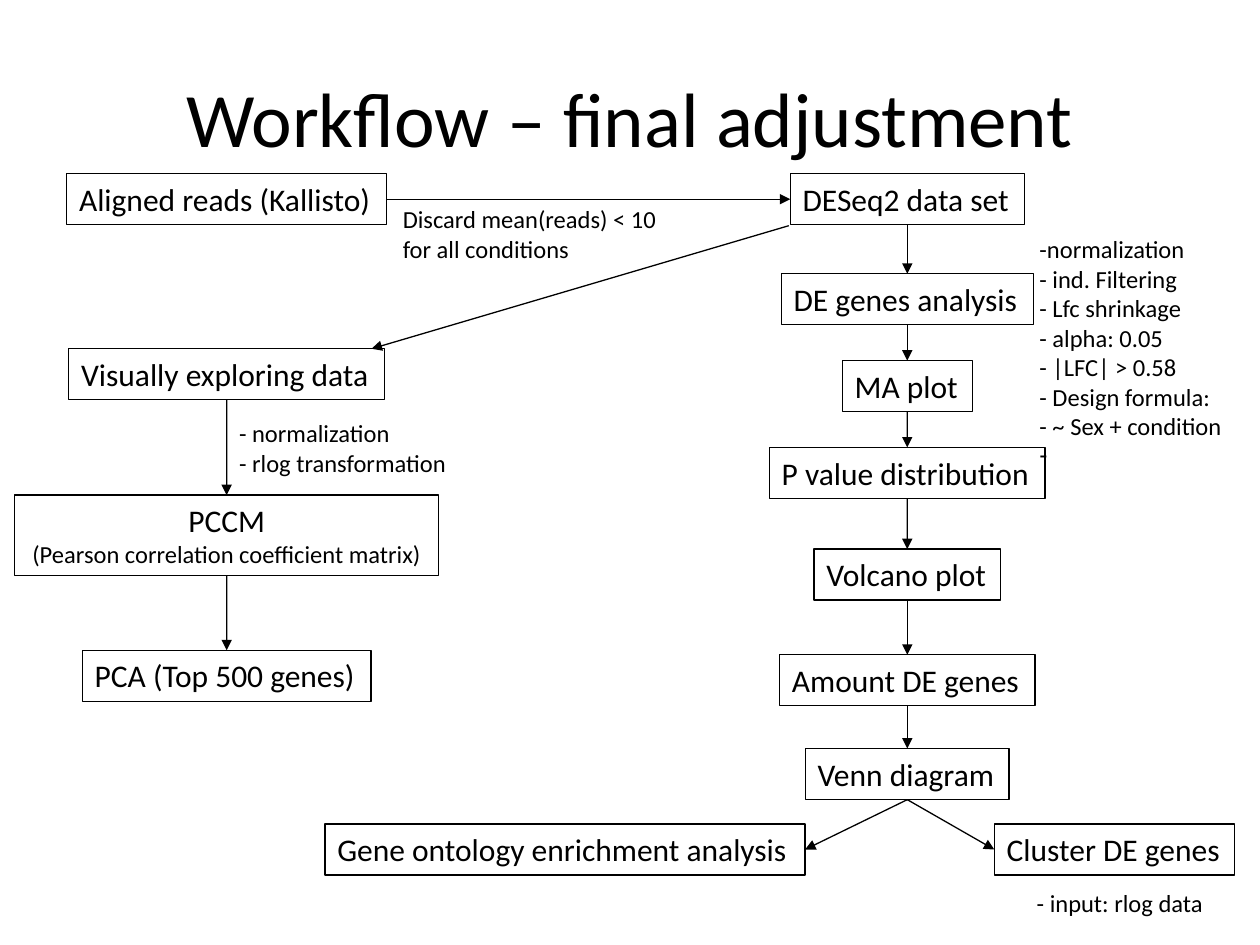
import dataclasses
import pptx
import pptx.dml.color
import pptx.enum.dml
import pptx.enum.shapes
import pptx.enum.text
import pptx.oxml.ns
import pptx.util
from lxml import etree

Cm = pptx.util.Cm
Pt = pptx.util.Pt
Align = pptx.enum.text.PP_ALIGN
Anchor = pptx.enum.text.MSO_ANCHOR
Fit = pptx.enum.text.MSO_AUTO_SIZE


@dataclasses.dataclass(frozen=True)
class Theme:
    ink: pptx.dml.color.RGBColor = pptx.dml.color.RGBColor(0, 0, 0)
    paper: pptx.dml.color.RGBColor = pptx.dml.color.RGBColor(255, 255, 255)
    font: str = "Calibri"
    title: int = 44
    label: int = 18
    note: int = 14
    line: float = 0.75


THEME = Theme()
LEFT = 4.57
RIGHT = 18.29
HIGH = 1.03
TOP, WEST, BOTTOM, EAST = range(4)


def apply(item, style):
    for name, value in style.items():
        setattr(item, name, value)


def tag(parent, name, **values):
    return etree.SubElement(parent, pptx.oxml.ns.qn(name), values)


def place(item, left, top, width, height):
    apply(item, {"left": Cm(left), "top": Cm(top),
                 "width": Cm(width), "height": Cm(height)})


def write(frame, lines, sizes, align=Align.LEFT):
    frame.text = "\n".join(lines)
    for para, size in zip(frame.paragraphs, sizes):
        apply(para, {"alignment": align, "space_before": Pt(0)})
        apply(para.runs[0].font, {"name": THEME.font, "size": Pt(size)})
        para.runs[0].font.color.rgb = THEME.ink


def fit(frame):
    apply(frame, {"word_wrap": False, "vertical_anchor": Anchor.TOP,
                  "auto_size": Fit.SHAPE_TO_FIT_TEXT})


def stroke(line):
    apply(line, {"width": Pt(THEME.line)})
    line.color.rgb = THEME.ink


def add_box(slide, mid, top, width, lines, height=HIGH, align=Align.LEFT):
    box = slide.shapes.add_shape(
        pptx.enum.shapes.MSO_SHAPE.RECTANGLE,
        Cm(mid - width / 2), Cm(top), Cm(width), Cm(height))
    box.shadow.inherit = False
    box.fill.background()
    stroke(box.line)
    fit(box.text_frame)
    write(box.text_frame, lines, (THEME.label, THEME.note), align)
    return box


def add_note(slide, left, top, width, height, *lines):
    note = slide.shapes.add_textbox(Cm(left), Cm(top), Cm(width), Cm(height))
    fit(note.text_frame)
    write(note.text_frame, lines, [THEME.note] * len(lines))


def add_arrow(slide, start=(0, 0), end=(0, 0)):
    arrow = slide.shapes.add_connector(
        pptx.enum.shapes.MSO_CONNECTOR.STRAIGHT,
        *(Cm(n) for n in (*start, *end)))
    stroke(arrow.line)
    props = arrow.line._get_or_add_ln()
    tag(props, "a:tailEnd", type="triangle")
    tag(arrow._element.spPr, "a:effectLst")
    return arrow


def join(slide, first, out, last, into):
    arrow = add_arrow(slide)
    arrow.begin_connect(first, out)
    arrow.end_connect(last, into)


def add_flow(slide, mid, steps):
    boxes = [add_box(slide, mid, *step) for step in steps]
    for first, last in zip(boxes, boxes[1:]):
        join(slide, first, BOTTOM, last, TOP)
    return boxes


def add_list(slide, lines):
    body = slide.placeholders[1]
    place(body, 20.7, 4.6, 4.22, 5.08)
    frame = body.text_frame
    fit(frame)
    write(frame, lines, [THEME.note] * len(lines))
    for para in frame.paragraphs:
        props = para._p.get_or_add_pPr()
        if para.text.strip():
            apply(props, {"marL": 0, "indent": 0})
            props.set("marL", "0")
            props.set("indent", "0")
            tag(props, "a:buNone")
        else:
            props.set("marL", str(Cm(0.79)))
            props.set("indent", str(Cm(-0.79)))
            tag(props, "a:buFontTx")
            tag(props, "a:buChar", char="-")


def add_title(slide, text):
    title = slide.shapes.title
    place(title, 1.27, 0.76, 22.86, 3.18)
    title.text_frame.vertical_anchor = Anchor.MIDDLE
    write(title.text_frame, [text], [THEME.title], Align.CENTER)


def main():
    deck = pptx.Presentation()
    apply(deck, {"slide_width": Cm(25.4), "slide_height": Cm(19.05)})
    slide = deck.slides.add_slide(deck.slide_layouts[1])
    slide.background.fill.solid()
    slide.background.fill.fore_color.rgb = THEME.paper
    add_title(slide, "Workflow – final adjustment")

    reads = add_box(slide, LEFT, 3.5, 6.45, ["Aligned reads (Kallisto)"])
    add_flow(slide, LEFT, [
        (7.03, 6.37, ["Visually exploring data"]),
        (9.98, 8.54, ["PCCM", "(Pearson correlation coefficient matrix)"],
         1.63, Align.CENTER),
        (13.11, 5.82, ["PCA (Top 500 genes)"]),
    ])
    genes = add_flow(slide, RIGHT, [
        (3.5, 4.72, ["DESeq2 data set"]),
        (5.52, 5.08, ["DE genes analysis"]),
        (7.27, 2.62, ["MA plot"]),
        (9.02, 5.56, ["P value distribution"]),
        (11.07, 3.76, ["Volcano plot"]),
        (13.2, 5.15, ["Amount DE genes"]),
        (15.09, 4.11, ["Venn diagram"]),
    ])
    terms = add_box(slide, 11.39, 16.61, 9.68,
                    ["Gene ontology enrichment analysis"])
    group = add_box(slide, 22.47, 16.61, 4.85, ["Cluster DE genes"])

    join(slide, reads, EAST, genes[0], WEST)
    join(slide, genes[-1], BOTTOM, terms, EAST)
    join(slide, genes[-1], BOTTOM, group, WEST)
    add_arrow(slide, (15.9, 4.55), (7.49, 7.03))

    add_note(slide, 7.87, 3.99, 5.77, 1.45,
             "Discard mean(reads) < 10", "for all conditions")
    add_note(slide, 4.57, 8.31, 4.72, 1.45,
             "- normalization", "- rlog transformation")
    add_note(slide, 20.65, 17.78, 3.89, 0.86, "- input: rlog data")
    add_list(slide, [
        "-normalization", "- ind. Filtering", "- Lfc shrinkage",
        "- alpha: 0.05", "- |LFC| > 0.58", "- Design formula:",
        "- ~ Sex + condition", " ",
    ])
    deck.save("out.pptx")


if __name__ == "__main__":
    main()
